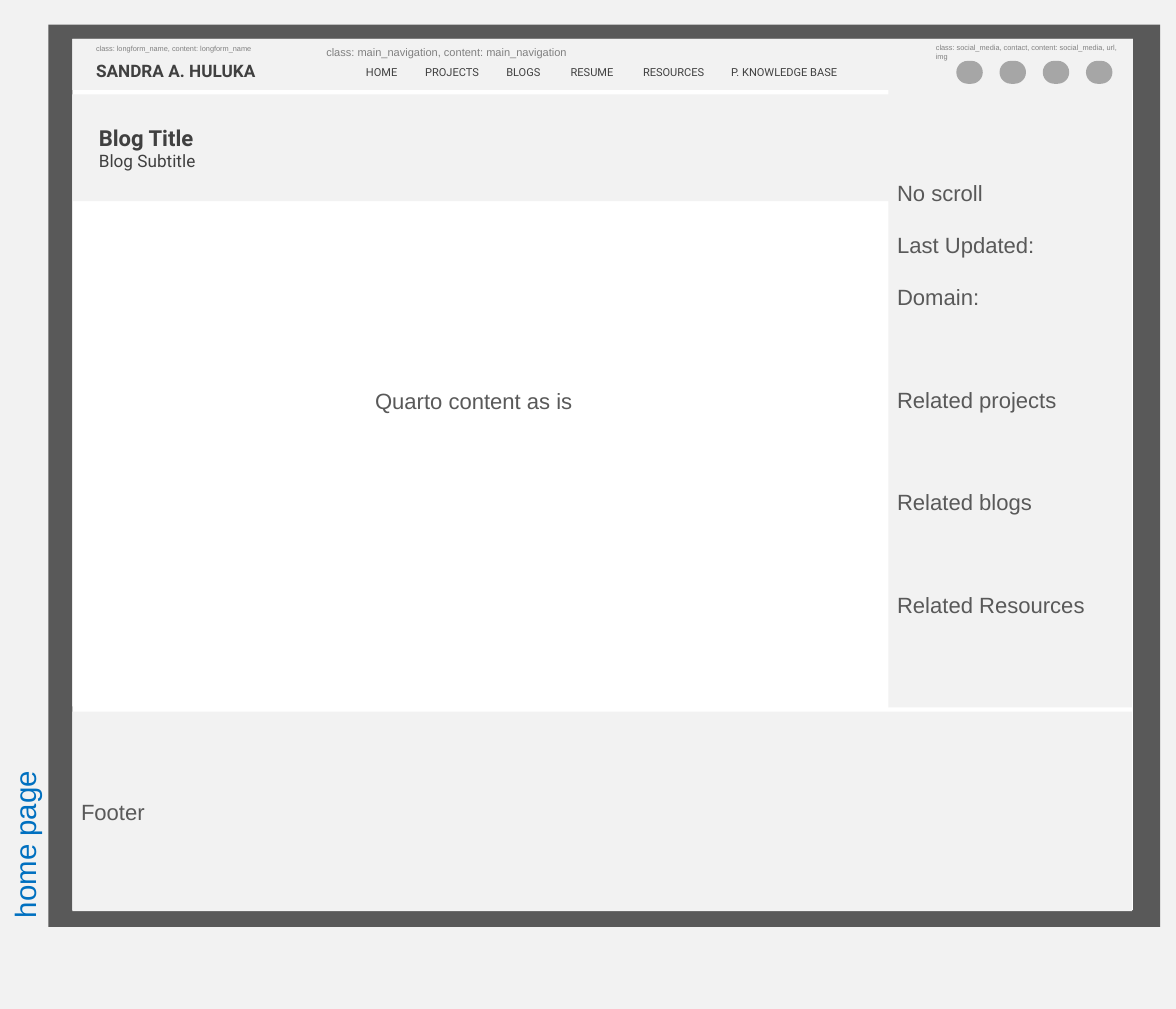
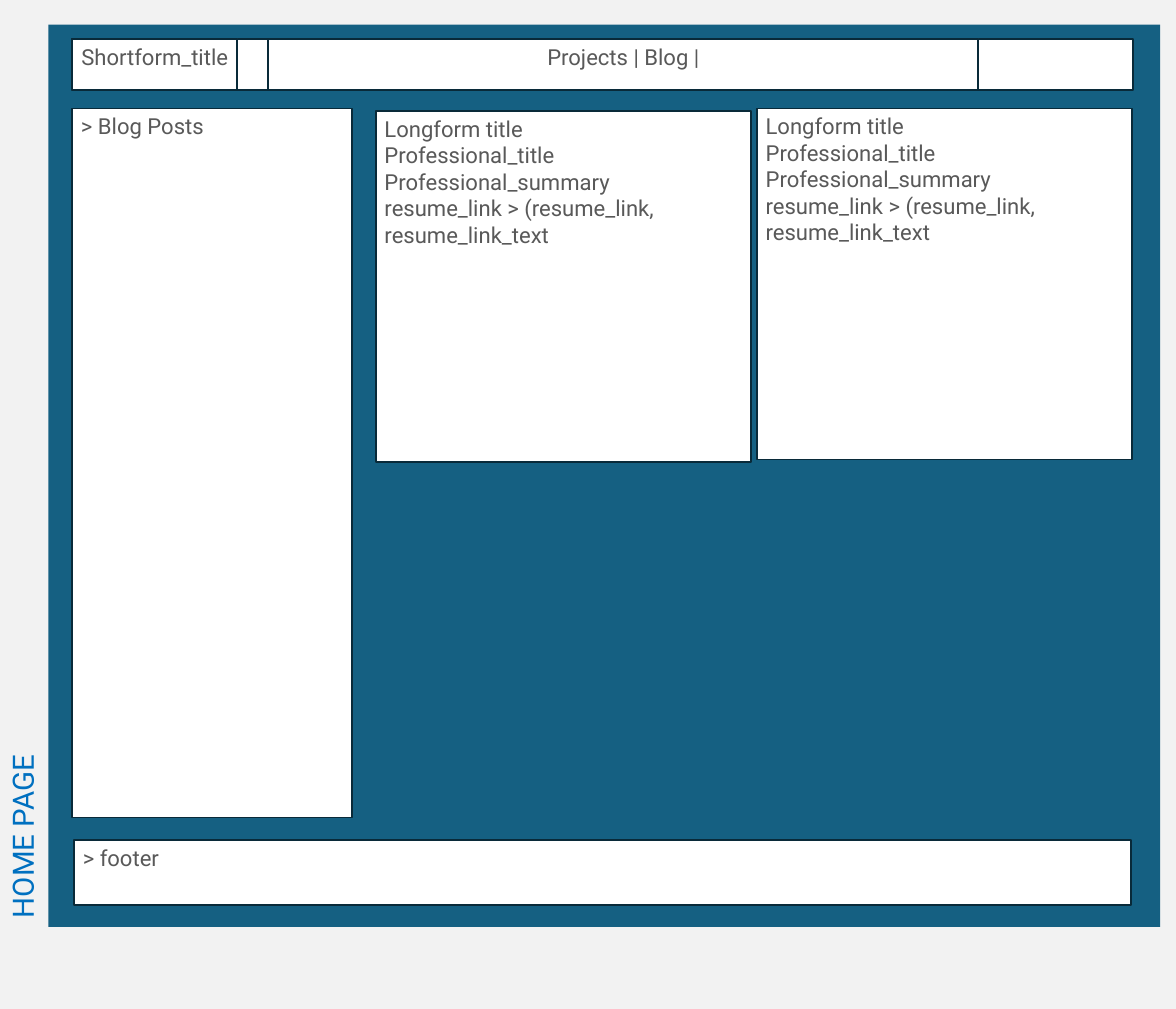
from typing import NamedTuple

from lxml import etree
from pptx import Presentation
from pptx.dml.color import RGBColor
from pptx.enum.shapes import MSO_SHAPE
from pptx.enum.text import MSO_ANCHOR, MSO_AUTO_SIZE, PP_ALIGN
from pptx.oxml.ns import qn
from pptx.util import Inches, Pt

RECTANGLE = MSO_SHAPE.RECTANGLE
ROUNDED = MSO_SHAPE.ROUNDED_RECTANGLE
LEFT, CENTER = PP_ALIGN.LEFT, PP_ALIGN.CENTER
TOP, MIDDLE = MSO_ANCHOR.TOP, MSO_ANCHOR.MIDDLE

PALE, WHITE, GREY = "F2F2F2", "FFFFFF", "595959"
DARK, ICON, TEAL, NAVY = "404040", "A6A6A6", "156082", "092A39"

SANS, ROBOTO = "Arial", "Roboto"


class Style(NamedTuple):
    size: float
    font: str
    color: str
    bold: bool = False


BODY = Style(18, SANS, GREY)
PANEL = Style(18, ROBOTO, GREY)
TAG = Style(6, SANS, "808080")
NAV_TAG = Style(9, SANS, "808080")
NAV = Style(9, ROBOTO, DARK)
NAME = Style(14, ROBOTO, DARK, True)
BLOG_TITLE = Style(18, ROBOTO, DARK, True)
BLOG_SUBTITLE = Style(14, ROBOTO, DARK)

NAV_STOPS = {"HOME": 0.45, "PROJECTS": 1.12, "BLOGS": 2.04, "RESUME": 2.77,
             "RESOURCES": 3.59, "P. KNOWLEDGE BASE": 4.59}
LINE = 20.7
SIDEBAR_GAPS = {"No scroll": 0, "Last Updated:": LINE, "Domain:": LINE,
                "Related projects": 3 * LINE, "Related blogs": 3 * LINE,
                "Related Resources": 3 * LINE}
PROFILE = ["Longform title", "Professional_title", "Professional_summary",
           "resume_link > (resume_link, resume_link_text"]


def rgb(value):
    return RGBColor.from_string(value)


def write(frame, lines, styles, align=LEFT, anchor=TOP):
    """Write one paragraph per line; styles is one Style or one per line."""
    frame.word_wrap = True
    frame.vertical_anchor = anchor
    frame.text = "\n".join(lines)
    if isinstance(styles, Style):
        styles = [styles] * len(lines)
    for para, style in zip(frame.paragraphs, styles):
        para.alignment = align
        for span in para.runs:
            span.font.size = Pt(style.size)
            span.font.name = style.font
            span.font.bold = style.bold
            span.font.color.rgb = rgb(style.color)


def add_block(page, area, fill, border=None, kind=RECTANGLE):
    block = page.shapes.add_shape(kind, *map(Inches, area))
    block.shadow.inherit = False
    block.fill.solid()
    block.fill.fore_color.rgb = rgb(fill)
    if border:
        block.line.color.rgb = rgb(border)
        block.line.width = Pt(1.5)
    else:
        block.line.fill.background()
    return block


def add_panel(page, area, lines=(), align=LEFT):
    """Add an outlined white panel with text at its top."""
    panel = add_block(page, area, WHITE, NAVY)
    if lines:
        write(panel.text_frame, lines, PANEL, align)
    return panel


def add_text(page, area, lines, styles, anchor=TOP):
    frame = page.shapes.add_textbox(*map(Inches, area)).text_frame
    write(frame, lines, styles, anchor=anchor)
    return frame


def add_tab_stops(para, stops):
    tabs = etree.SubElement(para._p.get_or_add_pPr(), qn("a:tabLst"))
    for stop in stops:
        etree.SubElement(tabs, qn("a:tab"), pos=str(Inches(stop)), algn="l")


def add_page(deck, label, font, anchor, frame_color):
    """Add a slide with a sideways title and a coloured page frame."""
    page = deck.slides.add_slide(deck.slide_layouts[5])
    title = page.shapes.title
    title.left, title.top = Inches(-3.02), Inches(6.94)
    title.width, title.height = Inches(6.59), Inches(0.55)
    title.rotation = 270
    write(title.text_frame, [label], Style(24, font, "0070C0"), anchor=anchor)
    title.text_frame.auto_size = MSO_AUTO_SIZE.NONE
    add_block(page, (0.55, 0.28, 12.6, 10.23), frame_color)
    return page


def add_navigation(page):
    frame = add_text(page, (3.6, 0.47, 6.48, 0.55),
                     ["class: main_navigation, content: main_navigation",
                      "\t" + "\t".join(NAV_STOPS)], [NAV_TAG, NAV])
    menu = frame.paragraphs[1]
    menu.space_before = Pt(5)
    add_tab_stops(menu, NAV_STOPS.values())


def add_header(page):
    add_block(page, (0.82, 0.44, 12.02, 0.58), PALE)
    name = add_text(page, (0.99, 0.48, 2.09, 0.46),
                    ["class: longform_name, content: longform_name",
                     "SANDRA A. HULUKA"], [TAG, NAME], MIDDLE)
    name.paragraphs[0].space_after = Pt(6)
    add_navigation(page)


def add_social_media(page):
    add_text(page, (10.51, 0.44, 2.4, 0.26),
             ["class: social_media, contact, content: social_media, url, img"],
             TAG)
    for column in range(4):
        area = (10.84 + 0.49 * column, 0.69, 0.3, 0.26)
        add_block(page, area, ICON, kind=ROUNDED).adjustments[0] = 0.5


def add_sidebar(page):
    sidebar = add_block(page, (10.07, 1.02, 2.76, 7), PALE)
    write(sidebar.text_frame, list(SIDEBAR_GAPS), BODY, anchor=MIDDLE)
    for para, gap in zip(sidebar.text_frame.paragraphs, SIDEBAR_GAPS.values()):
        para.space_before = Pt(gap)


def add_blog_heading(page):
    heading = add_block(page, (0.83, 1.07, 9.25, 1.21), PALE)
    write(heading.text_frame, ["Blog Title", "Blog Subtitle"],
          [BLOG_TITLE, BLOG_SUBTITLE], anchor=MIDDLE)
    heading.text_frame.margin_left = Inches(0.29)


def build_blog_page(deck):
    page = add_page(deck, "home page", SANS, MIDDLE, GREY)
    add_block(page, (0.82, 0.44, 12.02, 9.88), WHITE)
    add_header(page)
    content = add_block(page, (0.82, 1.07, 9.1, 6.94), WHITE)
    write(content.text_frame, ["Quarto content as is"], BODY, CENTER, MIDDLE)
    footer = add_block(page, (0.82, 8.07, 12.01, 2.26), PALE)
    write(footer.text_frame, ["Footer"], BODY, anchor=MIDDLE)
    add_sidebar(page)
    add_social_media(page)
    add_blog_heading(page)


def build_home_page(deck):
    page = add_page(deck, "HOME PAGE", ROBOTO, TOP, TEAL)
    add_panel(page, (0.82, 0.44, 12.02, 0.58))
    name = add_panel(page, (0.82, 0.44, 1.87, 0.58), ["Shortform_title"], CENTER)
    name.text_frame.margin_left = name.text_frame.margin_right = Inches(0.05)
    add_panel(page, (3.04, 0.44, 8.05, 0.58), ["Projects | Blog |"], CENTER)
    add_panel(page, (0.82, 1.23, 3.17, 8.04), ["> Blog Posts"])
    for left, top in ((4.26, 1.26), (8.58, 1.23)):
        add_panel(page, (left, top, 4.25, 3.98), PROFILE)
    add_panel(page, (0.84, 9.52, 11.98, 0.74), ["> footer"])


def main():
    deck = Presentation()
    deck.slide_width, deck.slide_height = Inches(13.33), Inches(11.44)
    background = deck.slide_master.background.fill
    background.solid()
    background.fore_color.rgb = rgb(PALE)
    build_blog_page(deck)
    build_home_page(deck)
    deck.save("out.pptx")


if __name__ == "__main__":
    main()
